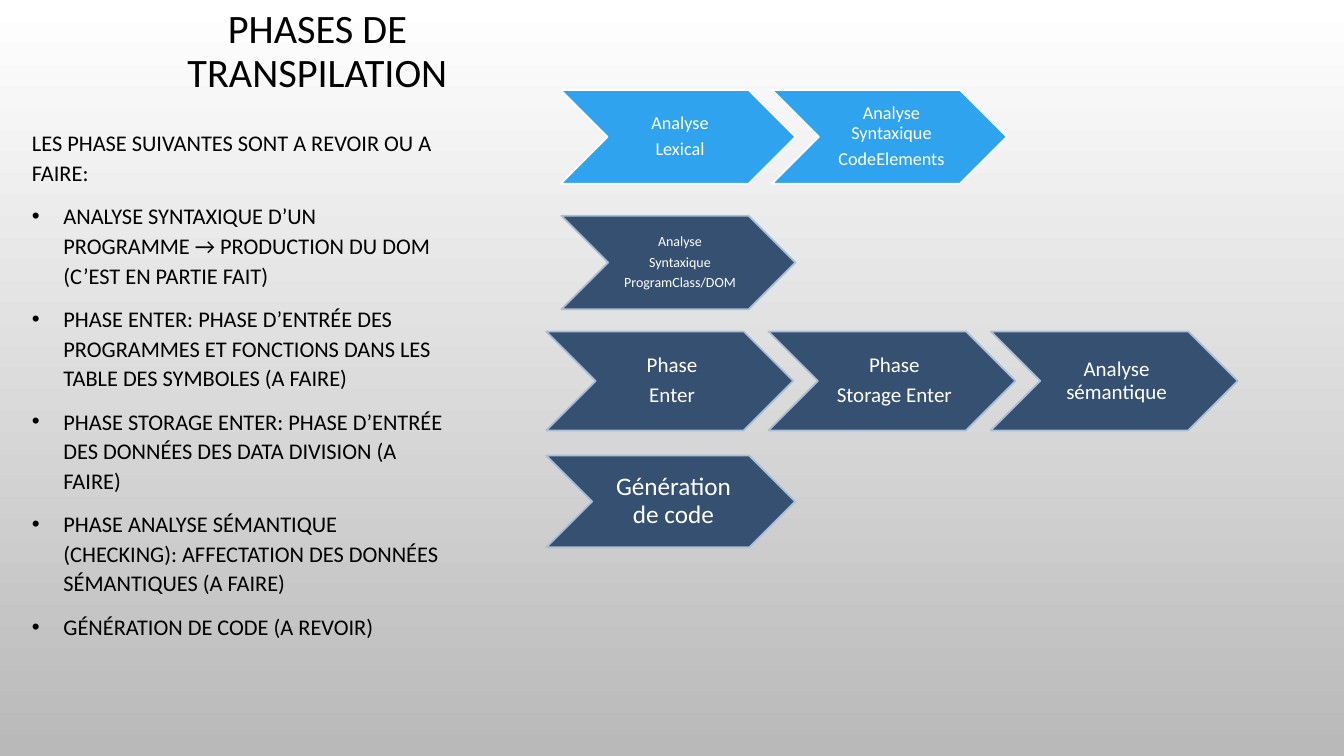
from lxml import etree
from pptx import Presentation
from pptx.dml.color import RGBColor
from pptx.enum.shapes import MSO_SHAPE as Shape
from pptx.enum.text import MSO_ANCHOR as Anchor, PP_ALIGN as Align
from pptx.oxml.ns import qn
from pptx.util import Pt

FONT = "Calibri"
BLACK, WHITE = "000000", "FFFFFF"
BLUE = {"fill": "2FA3EE", "line": WHITE}
NAVY = {"fill": "355071", "line": "AABED7"}

TITLE = "PHASES DE TRANSPILATION"
INTRO = "LES PHASE SUIVANTES SONT A REVOIR OU A FAIRE:"
TASKS = [
    "ANALYSE SYNTAXIQUE D’UN PROGRAMME → PRODUCTION DU DOM (C’EST EN PARTIE FAIT)",
    "PHASE ENTER: PHASE D’ENTRÉE DES PROGRAMMES ET FONCTIONS DANS LES TABLE DES SYMBOLES (A FAIRE)",
    "PHASE STORAGE ENTER: PHASE D’ENTRÉE DES DONNÉES DES DATA DIVISION (A FAIRE)",
    "PHASE ANALYSE SÉMANTIQUE (CHECKING): AFFECTATION DES DONNÉES SÉMANTIQUES (A FAIRE)",
    "GÉNÉRATION DE CODE (A REVOIR)",
]
# Each row: first chevron (left, top, width, height), text size, colours, steps
ROWS = [
    ((400.4, 64.2, 167.8, 67.1), 13, BLUE,
     [["Analyse", "Lexical"], ["Analyse Syntaxique", "CodeElements"]]),
    ((401, 154.1, 167.2, 66.9), 10, NAVY,
     [["Analyse", "Syntaxique", "ProgramClass/DOM"]]),
    ((390.2, 236.8, 176.4, 70.6), 15, NAVY,
     [["Phase", "Enter"], ["Phase", "Storage Enter"], ["Analyse sémantique"]]),
    ((390.2, 325.4, 177.8, 65.6), 18, NAVY,
     [["Génération de code"]]),
]
STEP_PITCH = 0.9  # share of the chevron width
BULLET_INDENT = 22.5


def colour(value):
    return RGBColor.from_string(value)


def apply(target, values):
    for name, value in values.items():
        setattr(target, name, value)


def write(frame, lines, size, ink, layout):
    """Fill a text frame with one paragraph per line and return the paragraphs."""
    frame.word_wrap = True
    paras = []
    for index, line in enumerate(lines):
        para = frame.add_paragraph() if index else frame.paragraphs[0]
        apply(para, layout)
        span = para.add_run()
        span.text = line
        apply(span.font, {"name": FONT, "size": Pt(size)})
        span.font.color.rgb = colour(ink)
        paras.append(para)
    return paras


def add_bullet(para):
    props = para._p.get_or_add_pPr()
    props.set("marL", str(Pt(BULLET_INDENT)))
    props.set("indent", str(-Pt(BULLET_INDENT)))
    etree.SubElement(props, qn("a:buFont")).set("typeface", "Arial")
    etree.SubElement(props, qn("a:buChar")).set("char", "•")


def add_chevron(page, place, size, colours, lines):
    box = page.shapes.add_shape(Shape.CHEVRON, *map(Pt, place))
    box.shadow.inherit = False
    box.fill.solid()
    box.fill.fore_color.rgb = colour(colours["fill"])
    box.line.color.rgb = colour(colours["line"])
    box.line.width = Pt(1.25)
    edge = Pt(size / 9)
    apply(box.text_frame, {
        "vertical_anchor": Anchor.MIDDLE, "margin_left": Pt(size / 3),
        "margin_top": edge, "margin_right": edge, "margin_bottom": edge})
    write(box.text_frame, lines, size, WHITE, {
        "alignment": Align.CENTER, "line_spacing": 0.9,
        "space_after": Pt(0.35 * size)})


def main():
    deck = Presentation()
    apply(deck, {"slide_width": Pt(960), "slide_height": Pt(540)})
    page = deck.slides.add_slide(deck.slide_layouts[6])

    backdrop = page.background.fill
    backdrop.gradient()
    backdrop.gradient_angle = 270
    for stop, value in zip(backdrop.gradient_stops, [WHITE, "B9B9B9"]):
        stop.color.rgb = colour(value)

    title = page.shapes.add_textbox(Pt(72), Pt(23), Pt(309.6), Pt(49)).text_frame
    title.vertical_anchor = Anchor.BOTTOM
    write(title, [TITLE], 28.8, BLACK,
          {"alignment": Align.CENTER, "line_spacing": 0.9})

    body = page.shapes.add_textbox(Pt(15.8), Pt(87.1), Pt(309.6), Pt(400.3)).text_frame
    paras = write(body, [INTRO, *TASKS], 16, BLACK,
                  {"line_spacing": 1.1, "space_before": Pt(10)})
    for para in paras[1:]:
        add_bullet(para)

    for (left, top, width, height), size, colours, steps in ROWS:
        for index, lines in enumerate(steps):
            place = left + index * STEP_PITCH * width, top, width, height
            add_chevron(page, place, size, colours, lines)

    deck.save("out.pptx")


if __name__ == "__main__":
    main()
